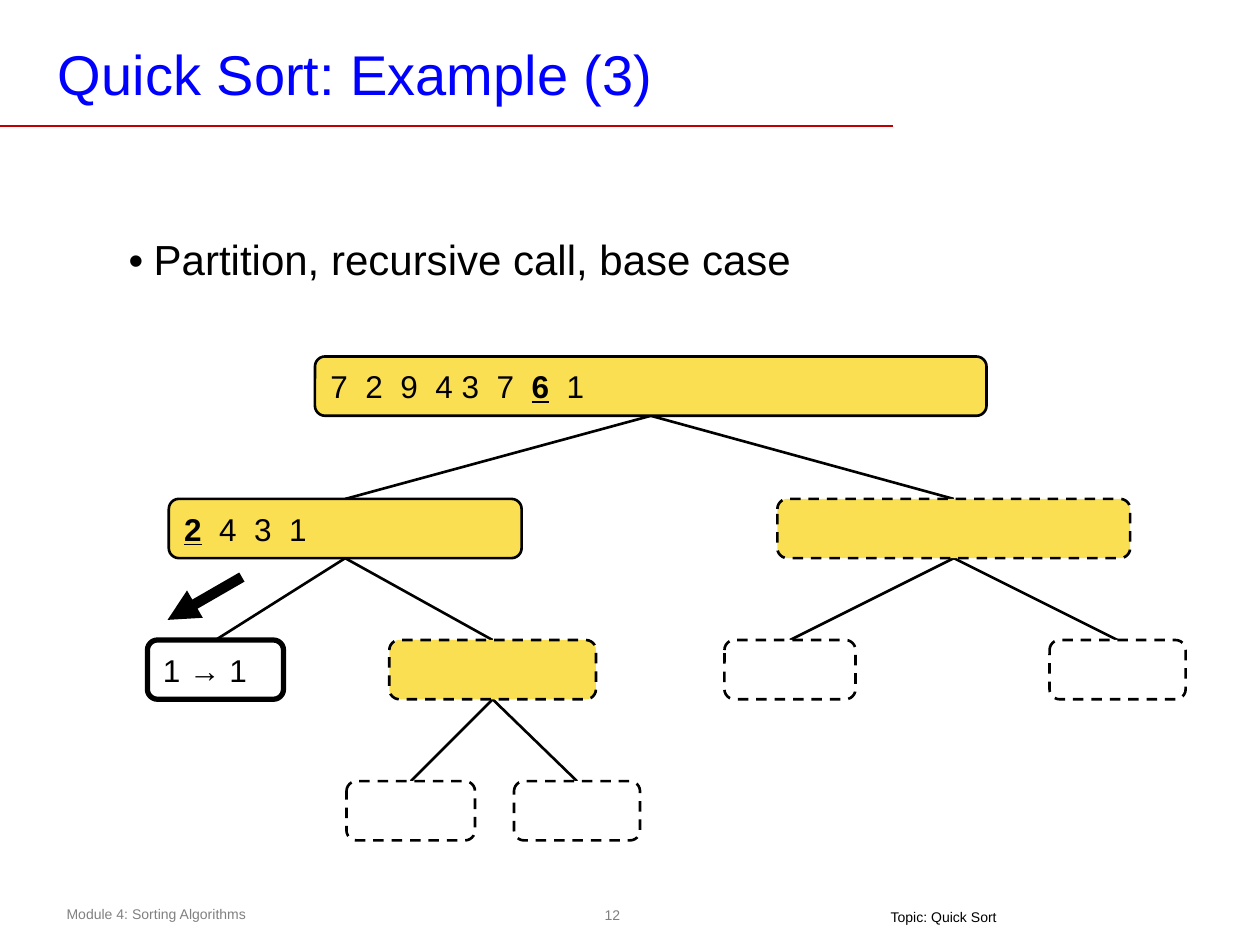
import pptx
import pptx.util
import pptx.dml.color
import pptx.enum.dml
import pptx.enum.shapes
import pptx.enum.text
import pptx.oxml.ns
from lxml import etree

Inches = pptx.util.Inches
Pt = pptx.util.Pt
RGBColor = pptx.dml.color.RGBColor
Align = pptx.enum.text.PP_ALIGN
Anchor = pptx.enum.text.MSO_ANCHOR
qn = pptx.oxml.ns.qn

BLACK = RGBColor(0x00, 0x00, 0x00)
WHITE = RGBColor(0xFF, 0xFF, 0xFF)
GRAY = RGBColor(0x80, 0x80, 0x80)
BLUE = RGBColor(0x00, 0x00, 0xFF)
RED = RGBColor(0xC0, 0x00, 0x00)
GOLD = RGBColor(0xFB, 0xDF, 0x53)

ROWS = [2.83, 3.96, 5.08, 6.2]
HIGH = 0.47
MARK = {"bold": True, "underline": True}
BOLD = {"bold": True}

# name: parent, row, left, width, fill, line width, runs
NODES = {
    "root": (None, 0, 2.5, 5.33, GOLD, 1.5,
             [("7  2  9  4 3  7  ", {}), ("6", MARK), ("  1", {})]),
    "low": ("root", 1, 1.34, 2.8, GOLD, 1.5, [("2", MARK), ("  4  3  1", {})]),
    "high": ("root", 1, 6.17, 2.8, GOLD, 1.5, []),
    "base": ("low", 2, 1.17, 1.08, WHITE, 3, [("1 ", {}), ("→", BOLD), (" 1", {})]),
    "mid": ("low", 2, 3.09, 1.64, GOLD, 1.5, []),
    "high left": ("high", 2, 5.75, 1.04, WHITE, 1.5, []),
    "high right": ("high", 2, 8.33, 1.08, WHITE, 1.5, []),
    "mid left": ("mid", 3, 2.75, 1.02, WHITE, 1.5, []),
    "mid right": ("mid", 3, 4.08, 1, WHITE, 1.5, []),
}


def put(item, vals):
    """Set each named value on the item."""
    for name, val in vals.items():
        setattr(item, name, val)


def place(shape, left, top, width, height):
    """Move and size a shape, in inches."""
    put(shape, {"left": Inches(left), "top": Inches(top),
                "width": Inches(width), "height": Inches(height)})


def frame(shape, pads, anchor, wrap=True):
    """Set the insets, anchor and wrap of a text frame."""
    text = shape.text_frame
    sides = ("margin_left", "margin_top", "margin_right", "margin_bottom")
    put(text, dict(zip(sides, map(Inches, pads))))
    put(text, {"auto_size": pptx.enum.text.MSO_AUTO_SIZE.NONE,
               "vertical_anchor": anchor, "word_wrap": wrap})
    return text


def write(para, runs, size, color, align=Align.LEFT):
    """Fill a paragraph with styled runs."""
    para.alignment = align
    for words, style in runs:
        run = para.add_run()
        run.text = words
        put(run.font, {"name": "Arial", "size": Pt(size), **style})
        run.font.color.rgb = color


def draw_line(slide, start, end, color=BLACK, width=1.5, head=False):
    """Draw a straight line, with an arrowhead if asked."""
    line = slide.shapes.add_connector(
        pptx.enum.shapes.MSO_CONNECTOR.STRAIGHT, *map(Inches, start + end))
    line.line.color.rgb = color
    line.line.width = Pt(width)
    if head:
        etree.SubElement(line.line._get_or_add_ln(), qn("a:tailEnd"), type="triangle")
    etree.SubElement(line._element.spPr, qn("a:effectLst"))


def draw_node(slide, row, left, width, fill, weight, runs):
    """Draw one tree node, dashed while it is empty."""
    node = slide.shapes.add_shape(
        pptx.enum.shapes.MSO_SHAPE.ROUNDED_RECTANGLE,
        *map(Inches, (left, ROWS[row], width, HIGH)))
    node.shadow.inherit = False
    node.adjustments[0] = 0.17
    node.fill.solid()
    node.fill.fore_color.rgb = fill
    node.line.color.rgb = BLACK
    node.line.width = Pt(weight)
    if runs:
        text = frame(node, (0.1, 0.05, 0.1, 0.05), Anchor.MIDDLE)
        write(text.paragraphs[0], runs, 18, BLACK)
    else:
        node.line.dash_style = pptx.enum.dml.MSO_LINE.DASH


def draw_tree(slide):
    """Draw the edges and then the nodes of the tree."""
    def port(name, drop):
        _, row, left, width, *_ = NODES[name]
        return left + width / 2, ROWS[row] + drop

    for name, (parent, *_) in NODES.items():
        if parent:
            draw_line(slide, port(parent, HIGH), port(name, 0))
    for _, *node in NODES.values():
        draw_node(slide, *node)


def add_note(slide, words, spot, pads, color, anchor=Anchor.TOP, align=Align.LEFT):
    """Add a small footer text."""
    box = slide.shapes.add_textbox(*map(Inches, spot))
    text = frame(box, pads, anchor, False)
    write(text.paragraphs[0], [(words, {})], 8, color, align)


def set_title(slide, words):
    """Fill and place the title."""
    title = slide.shapes.title
    place(title, 0.39, 0.28, 7.42, 0.6)
    text = frame(title, (0.07, 0.03, 0.07, 0.03), Anchor.MIDDLE)
    write(text.paragraphs[0], [(words, {})], 32, BLUE)


def set_list(slide, words):
    """Fill and place the bullet list."""
    body = slide.placeholders[1]
    place(body, 0.92, 1.83, 8.5, 0.75)
    para = frame(body, (0.1, 0.05, 0.1, 0.05), Anchor.TOP).paragraphs[0]
    props = para._p.get_or_add_pPr()
    props.set("marL", str(Inches(0.2)))
    props.set("indent", str(Inches(-0.2)))
    etree.SubElement(props, qn("a:buFont"), typeface="Arial")
    etree.SubElement(props, qn("a:buChar"), char="•")
    put(para, {"line_spacing": 0.97, "space_before": Pt(0)})
    write(para, [(words, {})], 24, BLACK)


def main():
    """Build and save the slide."""
    deck = pptx.Presentation()
    put(deck, {"slide_width": Inches(10), "slide_height": Inches(7.5)})
    slide = deck.slides.add_slide(deck.slide_layouts[1])
    set_title(slide, "Quick Sort: Example (3)")
    draw_line(slide, (0, 1), (7.09, 1), RED, 1)
    set_list(slide, "Partition, recursive call, base case")
    draw_tree(slide)
    draw_line(slide, (1.92, 4.58), (1.33, 4.92), width=6, head=True)
    add_note(slide, "Module 4: Sorting Algorithms", (0.43, 7.14, 3.64, 0.24),
             (0.1, 0.05, 0.1, 0.05), GRAY)
    add_note(slide, "12", (4.74, 7.13, 0.24, 0.26), (0.04,) * 4, GRAY,
             Anchor.MIDDLE, Align.CENTER)
    add_note(slide, "Topic: Quick Sort", (6.97, 7.21, 1.06, 0.17),
             (0.1, 0, 0.1, 0.04), BLACK)
    deck.save("out.pptx")


if __name__ == "__main__":
    main()
